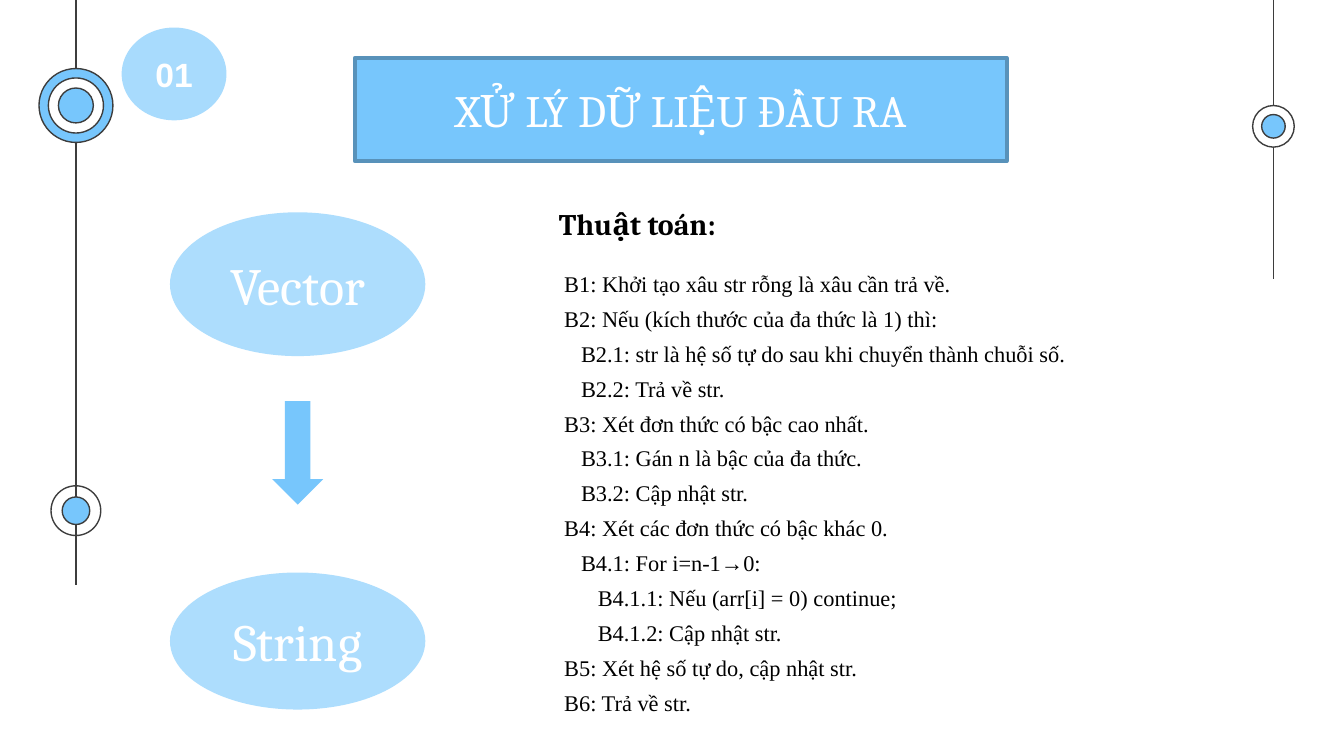
from dataclasses import dataclass

from pptx import Presentation
from pptx.dml.color import RGBColor
from pptx.enum.shapes import MSO_CONNECTOR, MSO_SHAPE
from pptx.enum.text import MSO_ANCHOR, MSO_AUTO_SIZE, PP_ALIGN
from pptx.oxml.ns import qn
from pptx.util import Emu, Pt

RECT, OVAL, ARROW = MSO_SHAPE.RECTANGLE, MSO_SHAPE.OVAL, MSO_SHAPE.RIGHT_ARROW
LINE = MSO_CONNECTOR.STRAIGHT
MIDDLE = MSO_ANCHOR.MIDDLE
CENTER, JUSTIFY = PP_ALIGN.CENTER, PP_ALIGN.JUSTIFY
FIT_SHAPE = MSO_AUTO_SIZE.SHAPE_TO_FIT_TEXT

EMU_PER_PX = 4572  # 200 px to the inch


@dataclass(frozen=True)
class Theme:
    blue: str = "77C6FC"
    blue_edge: str = "5892BA"
    pale: str = "ADDDFD"
    badge: str = "A8DBFD"
    ink: str = "3D3D3D"
    white: str = "FFFFFF"
    black: str = "000000"
    serif: str = "Cambria"
    body: str = "Times New Roman"
    sans: str = "Arial"
    title_size: int = 24
    node_size: int = 28
    badge_size: int = 18
    heading_size: int = 16
    body_size: int = 12
    thin: float = 0.75
    border: float = 2


T = Theme()
TITLE = "XỬ LÝ DỮ LIỆU ĐẦU RA"
HEADING = "Thuật toán:"
STEPS = [
    (0, "B1: Khởi tạo xâu str rỗng là xâu cần trả về."),
    (0, "B2: Nếu (kích thước của đa thức là 1) thì:"),
    (1, "B2.1: str là hệ số tự do sau khi chuyển thành chuỗi số."),
    (1, "B2.2: Trả về str."),
    (0, "B3: Xét đơn thức có bậc cao nhất."),
    (1, "B3.1: Gán n là bậc của đa thức."),
    (1, "B3.2: Cập nhật str."),
    (0, "B4: Xét các đơn thức có bậc khác 0."),
    (1, "B4.1: For i=n-1→0:"),
    (2, "B4.1.1: Nếu (arr[i] = 0) continue;"),
    (2, "B4.1.2: Cập nhật str."),
    (0, "B5: Xét hệ số tự do, cập nhật str."),
    (0, "B6: Trả về str."),
]


def px(n):
    return Emu(int(n * EMU_PER_PX))


def rgb(color):
    return RGBColor.from_string(color)


def set_attrs(obj, values):
    for name, value in values.items():
        setattr(obj, name, value)


def write(p, text, font, size, color, bold=False):
    r = p.add_run()
    r.text = text
    set_attrs(r.font, {"name": font, "size": Pt(size), "bold": bold})
    r.font.color.rgb = rgb(color)


def add_shape(s, kind, box, fill=None, line=None, width=T.thin):
    sp = s.shapes.add_shape(kind, *map(px, box))
    sp.shadow.inherit = False
    if fill:
        sp.fill.solid()
        sp.fill.fore_color.rgb = rgb(fill)
    else:
        sp.fill.background()
    if line:
        sp.line.color.rgb = rgb(line)
        sp.line.width = Pt(width)
    else:
        sp.line.fill.background()
    return sp


def add_label(sp, text, font, size, bold=False):
    tf = sp.text_frame
    set_attrs(tf, {"vertical_anchor": MIDDLE, "word_wrap": True})
    p = tf.paragraphs[0]
    p.alignment = CENTER
    write(p, text, font, size, T.white, bold)


def add_rail(s, box, rings):
    """Draw a vertical line with rings, each given as (centre y, [(diameter, fill)])."""
    x, y, _, h = box
    line = s.shapes.add_connector(LINE, px(x), px(y), px(x), px(y + h))
    line.line.color.rgb = rgb(T.ink)
    line.line.width = Pt(T.thin)
    sp_pr = line._element.spPr
    sp_pr.append(sp_pr.makeelement(qn("a:effectLst"), {}))
    for cy, discs in rings:
        for d, fill in discs:
            add_shape(s, OVAL, (x - d / 2, y + cy - d / 2, d, d), fill, T.ink)


def add_title(s, box):
    sp = add_shape(s, RECT, box, T.blue, T.blue_edge, T.border)
    add_label(sp, TITLE, T.serif, T.title_size)


def add_badge(s, box):
    sp = add_shape(s, OVAL, box, T.badge)
    add_label(sp, "01", T.sans, T.badge_size, bold=True)


def add_conversion(s, box):
    """Draw the source type, an arrow down and the result type."""
    x, y, w, h = box
    for text, top, height in (("Vector", 0, 214), ("String", h - 204, 204)):
        sp = add_shape(s, OVAL, (x, y + top, w, height), T.pale)
        add_label(sp, text, T.serif, T.node_size)
    length, breadth = 154, 76
    arrow = add_shape(s, ARROW, (x + (w - length) / 2, y + 320, length, breadth), T.blue)
    arrow.rotation = 90


def add_text_box(s, box, wrap):
    tf = s.shapes.add_textbox(*map(px, box)).text_frame
    set_attrs(tf, {"word_wrap": wrap, "auto_size": FIT_SHAPE})
    return tf


def add_algorithm(s, box):
    x, y, w, h = box
    tf = add_text_box(s, (x, y + 84, w, h - 84), True)
    for i, (level, text) in enumerate(STEPS):
        p = tf.add_paragraph() if i else tf.paragraphs[0]
        set_attrs(p, {"alignment": JUSTIFY, "line_spacing": 1.3})
        p._p.get_or_add_pPr().set("marL", str(px(100 + 25 * level)))
        write(p, text, T.body, T.body_size, T.black)
    tf = add_text_box(s, (x + 92, y, 278, 74), False)
    write(tf.paragraphs[0], HEADING, T.serif, T.heading_size, T.black, bold=True)


def main():
    prs = Presentation()
    set_attrs(prs, {"slide_width": px(2000), "slide_height": px(1125)})
    s = prs.slides.add_slide(prs.slide_layouts[6])
    add_rail(s, (113, 0, 0, 870), [
        (157, [(110, T.blue), (82, T.white), (52, T.blue)]),
        (760, [(74, None), (41, T.blue)]),
    ])
    add_rail(s, (1895, 0, 0, 415), [(188, [(62, T.white), (35, T.blue)])])
    add_title(s, (528, 86, 970, 154))
    add_conversion(s, (253, 316, 380, 740))
    add_algorithm(s, (720, 296, 1000, 796))
    add_badge(s, (181, 41, 156, 138))
    prs.save("out.pptx")


if __name__ == "__main__":
    main()
